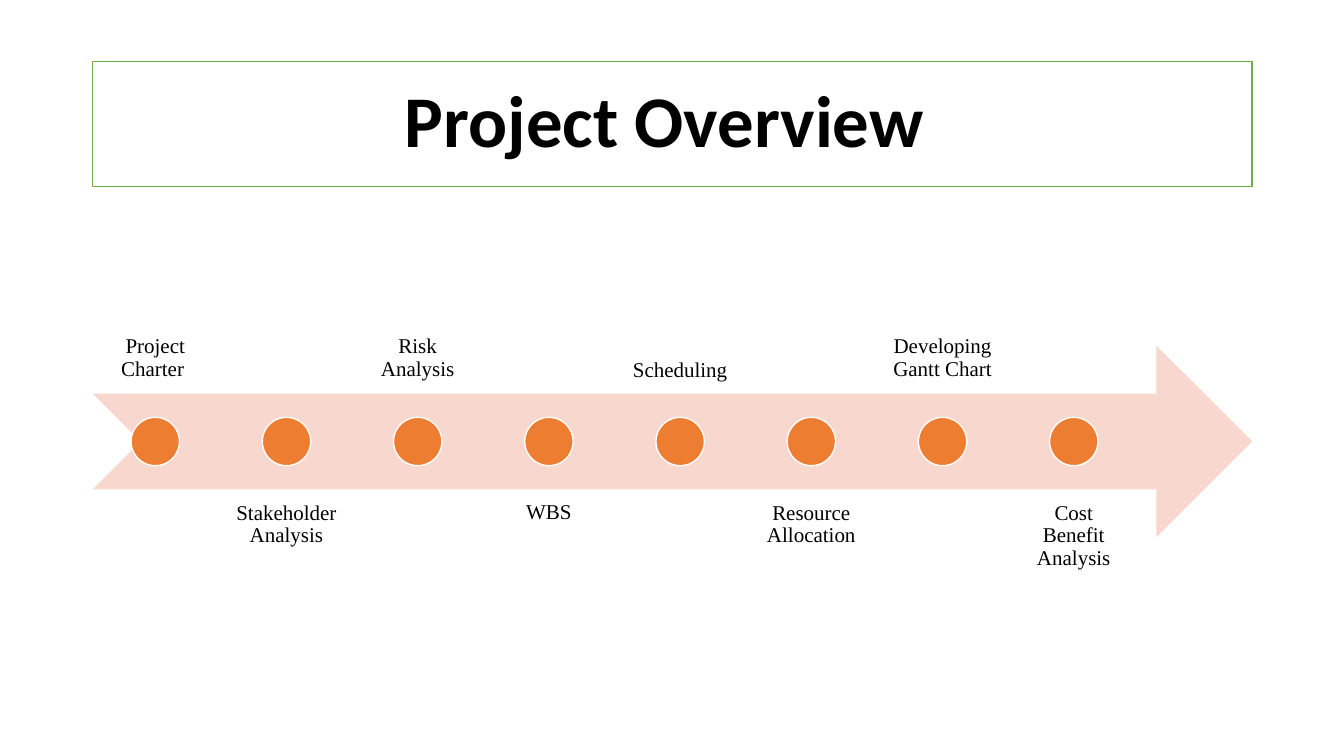
"""Build a project overview slide with a milestone timeline arrow."""
from pptx import Presentation
from pptx.dml.color import RGBColor
from pptx.enum.shapes import MSO_SHAPE as Shape
from pptx.enum.text import MSO_ANCHOR as Anchor, PP_ALIGN as Align
from pptx.util import Inches, Pt

COLORS = {
    "white": "FFFFFF",
    "black": "000000",
    "frame": "70AD47",
    "arrow": "F8D7CE",
    "dot": "ED7D31",
}
MILESTONES = [
    "Project Charter ",
    "Stakeholder Analysis",
    "Risk Analysis",
    "WBS",
    "Scheduling",
    "Resource Allocation",
    "Developing Gantt Chart",
    "Cost Benefit Analysis",
]
LEFT, WIDTH = 0.92, 11.5
LABEL_WIDTH, BAND_HEIGHT = 1.24, 1.9
LABEL_ABOVE, LABEL_BELOW = 2, 4.86
DOT_TOP, DOT_SIZE = 4.14, 0.48
FIRST_DOT, LAST_DOT = 1.3, 10.41
PITCH = (LAST_DOT - FIRST_DOT) / (len(MILESTONES) - 1)


def add_preset(kind, left, top, width, height, fill, line=None):
    box = page.shapes.add_shape(
        kind, Inches(left), Inches(top), Inches(width), Inches(height)
    )
    box.shadow.inherit = False
    box.fill.solid()
    box.fill.fore_color.rgb = RGBColor.from_string(COLORS[fill])
    if line:
        box.line.color.rgb = RGBColor.from_string(COLORS[line])
        box.line.width = Pt(1)
    else:
        box.line.fill.background()
    return box


def write_text(box, text, font, size, anchor, bold=False, space_after=0):
    frame = box.text_frame
    frame.word_wrap = True
    frame.vertical_anchor = anchor
    frame.text = text
    para = frame.paragraphs[0]
    para.alignment = Align.CENTER
    para.line_spacing = 0.9
    para.space_after = Pt(space_after)
    span = para.runs[0]
    span.font.name = font
    span.font.size = Pt(size)
    span.font.bold = bold
    span.font.color.rgb = RGBColor.from_string(COLORS["black"])


deck = Presentation()
deck.slide_width = Inches(13.33)
deck.slide_height = Inches(7.5)
page = deck.slides.add_slide(deck.slide_layouts[6])

title = add_preset(Shape.RECTANGLE, LEFT, 0.61, WIDTH, 1.24, "white", "frame")
write_text(title, "Project Overview ", "Calibri", 52, Anchor.MIDDLE, True, 6)

add_preset(Shape.NOTCHED_RIGHT_ARROW, LEFT, 3.43, WIDTH, BAND_HEIGHT, "arrow")

for index, milestone in enumerate(MILESTONES):
    above = index % 2 == 0
    label = page.shapes.add_textbox(
        Inches(LEFT + index * PITCH),
        Inches(LABEL_ABOVE if above else LABEL_BELOW),
        Inches(LABEL_WIDTH),
        Inches(BAND_HEIGHT),
    )
    frame = label.text_frame
    frame.margin_left = frame.margin_right = Inches(0.12)
    frame.margin_top = frame.margin_bottom = Inches(0.12)
    anchor = Anchor.BOTTOM if above else Anchor.TOP
    write_text(label, milestone, "Times New Roman", 15, anchor)

    dot_left = FIRST_DOT + index * PITCH
    add_preset(Shape.OVAL, dot_left, DOT_TOP, DOT_SIZE, DOT_SIZE, "dot", "white")

deck.save("out.pptx")
